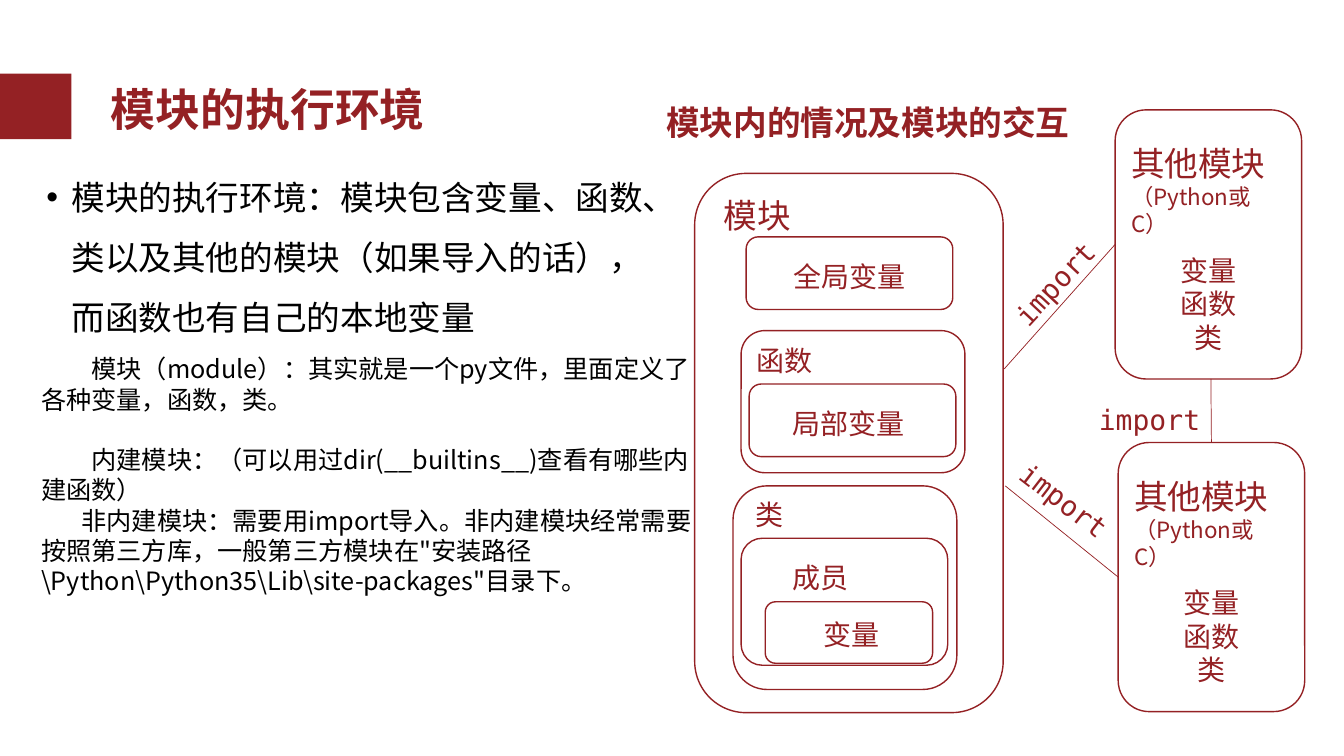
import pptx
import pptx.util
import pptx.dml.color
import pptx.enum.shapes
import pptx.enum.text
import pptx.oxml.ns
from lxml import etree

Inches = pptx.util.Inches
Pt = pptx.util.Pt
SHAPES = pptx.enum.shapes.MSO_SHAPE
ALIGN = pptx.enum.text.PP_ALIGN
ANCHOR = pptx.enum.text.MSO_ANCHOR
qn = pptx.oxml.ns.qn

RED = pptx.dml.color.RGBColor(0x94, 0x21, 0x24)
BLACK = pptx.dml.color.RGBColor(0, 0, 0)
SANS = "Noto Sans CJK SC"
MONO = "DejaVu Sans Mono"
LINE_HEIGHT = 1.2


def place(shape, left, top, width, height):
    shape.left, shape.top = Inches(left), Inches(top)
    shape.width, shape.height = Inches(width), Inches(height)


def format_para(para, size, color=RED, font=SANS, bold=False, spacing=1, align=ALIGN.LEFT):
    """Format a paragraph and its runs, with a line pitch fixed by the text size."""
    para.alignment = align
    para.line_spacing = Pt(round(size * LINE_HEIGHT * spacing, 1))
    para.space_before = Pt(0)
    for run in para.runs:
        run.font.size, run.font.bold, run.font.name = Pt(size), bold, font
        run.font.color.rgb = color
        east_asian = etree.Element(qn("a:ea"), typeface=font)
        run.font._element.find(qn("a:latin")).addnext(east_asian)


def prepare_frame(frame, wrap=True, margin_top=0.08, anchor=ANCHOR.TOP):
    frame.auto_size = pptx.enum.text.MSO_AUTO_SIZE.NONE
    frame.word_wrap = wrap
    frame.margin_top = Inches(margin_top)
    frame.vertical_anchor = anchor


def add_text(page, left, top, width, height, text, sizes, wrap=False, **style):
    """Add a text box; sizes holds one text size for each line."""
    box = page.shapes.add_textbox(Inches(left), Inches(top), Inches(width), Inches(height))
    prepare_frame(box.text_frame, wrap)
    box.text_frame.text = text
    for para, size in zip(box.text_frame.paragraphs, sizes):
        format_para(para, size, **style)
    return box


def add_outline(page, left, top, width, height):
    box = page.shapes.add_shape(SHAPES.ROUNDED_RECTANGLE, Inches(left), Inches(top),
                                Inches(width), Inches(height))
    box.shadow.inherit = False
    box.fill.background()
    box.line.color.rgb = RED
    box.line.width = Pt(1)
    return box


def add_heading(page, left, top, width, height):
    title = page.shapes.title
    place(title, left, top, width, height)
    title.text_frame.text = "模块的执行环境"
    prepare_frame(title.text_frame, margin_top=0.14, anchor=ANCHOR.MIDDLE)
    format_para(title.text_frame.paragraphs[0], 32, bold=True, spacing=0.9)

    marker = page.shapes.add_shape(SHAPES.RECTANGLE, Inches(left - 1.02), Inches(top + 0.1),
                                   Inches(0.73), Inches(0.65))
    marker.shadow.inherit = False
    marker.fill.solid()
    marker.fill.fore_color.rgb = RED
    marker.line.fill.background()


def add_summary(page, left, top, width, height):
    body = page.placeholders[1]
    place(body, left, top, width, height)
    prepare_frame(body.text_frame)
    body.text_frame.text = ("模块的执行环境：模块包含变量、函数、类以及其他的模块"
                            "（如果导入的话），而函数也有自己的本地变量")
    para = body.text_frame.paragraphs[0]
    properties = para._p.get_or_add_pPr()
    properties.set("marL", str(Inches(0.25)))
    properties.set("indent", str(Inches(-0.25)))
    etree.SubElement(properties, qn("a:buFont"), typeface="Arial")
    etree.SubElement(properties, qn("a:buChar"), char="•")
    format_para(para, 24, color=BLACK, spacing=1.5)


def add_definitions(page, left, top, width, height):
    lines = [
        "模块（module）：其实就是一个py文件，里面定义了各种变量，函数，类。",
        "内建模块：（可以用过dir(__builtins__)查看有哪些内建函数）",
        "非内建模块：需要用import导入。非内建模块经常需要按照第三方库，"
        "一般第三方模块在\"安装路径\\Python\\Python35\\Lib\\site-packages\"目录下。",
    ]
    box = add_text(page, left, top, width, height, "\n".join(lines), [18] * 3,
                   wrap=True, color=BLACK)
    paras = box.text_frame.paragraphs
    for para, indent in zip(paras, (0.5, 0.5, 0.4)):
        para._p.get_or_add_pPr().set("indent", str(Inches(indent)))
    paras[1].space_before = Pt(18 * LINE_HEIGHT)


def add_module(page, left, top, width, height):
    """Draw the module with its nested parts, given as offsets from its corner."""
    add_outline(page, left, top, width, height)
    outlines = [
        (0.51, 0.63, 2.05, 0.72),
        (0.54, 2.09, 2.05, 0.72),
        (0.46, 1.56, 2.22, 1.41),
        (0.46, 3.62, 2.05, 1.26),
        (0.38, 3.10, 2.22, 2.02),
        (0.70, 4.25, 1.66, 0.61),
    ]
    for across, down, part_width, part_height in outlines:
        add_outline(page, left + across, top + down, part_width, part_height)
    labels = [
        ("模块", 0.19, 0.13, 24),
        ("全局变量", 0.88, 0.77, 20),
        ("局部变量", 0.87, 2.23, 20),
        ("函数", 0.51, 1.61, 20),
        ("成员", 0.87, 3.76, 20),
        ("类", 0.51, 3.14, 20),
        ("变量", 1.18, 4.33, 20),
    ]
    for text, across, down, size in labels:
        label_width = len(text) * size / 72 + 0.2
        add_text(page, left + across, top + down, label_width, size / 60 + 0.1, text, [size])


def add_other_module(page, left, top, width, height):
    box = add_outline(page, left, top, width, height)
    add_text(page, left + 0.06, top + 0.25, 1.74, 0.77, "其他模块\n（Python或C）", [24, 16], wrap=True)
    add_text(page, left + 0.55, top + 1.34, 0.76, 1.11, "变量\n函数\n类", [20] * 3,
             align=ALIGN.CENTER)
    return box


def add_import(page, start, target, side, label_corner, rotation=0):
    """Join a start point to one side of a module and label the line."""
    line = page.shapes.add_connector(pptx.enum.shapes.MSO_CONNECTOR.STRAIGHT,
                                     Inches(start[0]), Inches(start[1]), target.left, target.top)
    line.end_connect(target, side)
    line.line.color.rgb = RED
    line.line.width = Pt(0.5)
    etree.SubElement(line._element.spPr, qn("a:effectLst"))
    label = add_text(page, *label_corner, 1.21, 0.44, "import", [20], font=MONO)
    label.text_frame.margin_top = Inches(0.05)
    label.rotation = rotation


def add_diagram(page, left, top):
    add_text(page, left, top, 6.19, 0.72, "模块内的情况及模块的交互", [24], wrap=True,
             bold=True, spacing=1.5)
    add_module(page, left + 0.38, top + 0.99, 3.06, 5.35)
    upper = add_other_module(page, left + 4.55, top + 0.36, 1.85, 2.67)
    lower = add_other_module(page, left + 4.58, top + 3.66, 1.85, 2.67)
    add_import(page, (left + 3.45, top + 2.93), upper, 1, (left + 3.35, top + 1.86), 312.9)
    add_import(page, (left + 3.46, top + 4.09), lower, 1, (left + 3.44, top + 4.02), 37.6)
    add_import(page, (left + 5.5, top + 3.03), lower, 0, (left + 4.29, top + 3.21))


def main():
    deck = pptx.Presentation()
    deck.slide_width, deck.slide_height = Inches(13.33), Inches(7.5)
    page = deck.slides.add_slide(deck.slide_layouts[1])
    add_heading(page, 1, 0.63, 11.5, 0.85)
    add_summary(page, 0.36, 1.47, 6.19, 4.88)
    add_diagram(page, 6.51, 0.73)
    add_definitions(page, 0.31, 3.43, 6.67, 3.13)
    deck.save("out.pptx")


if __name__ == "__main__":
    main()
